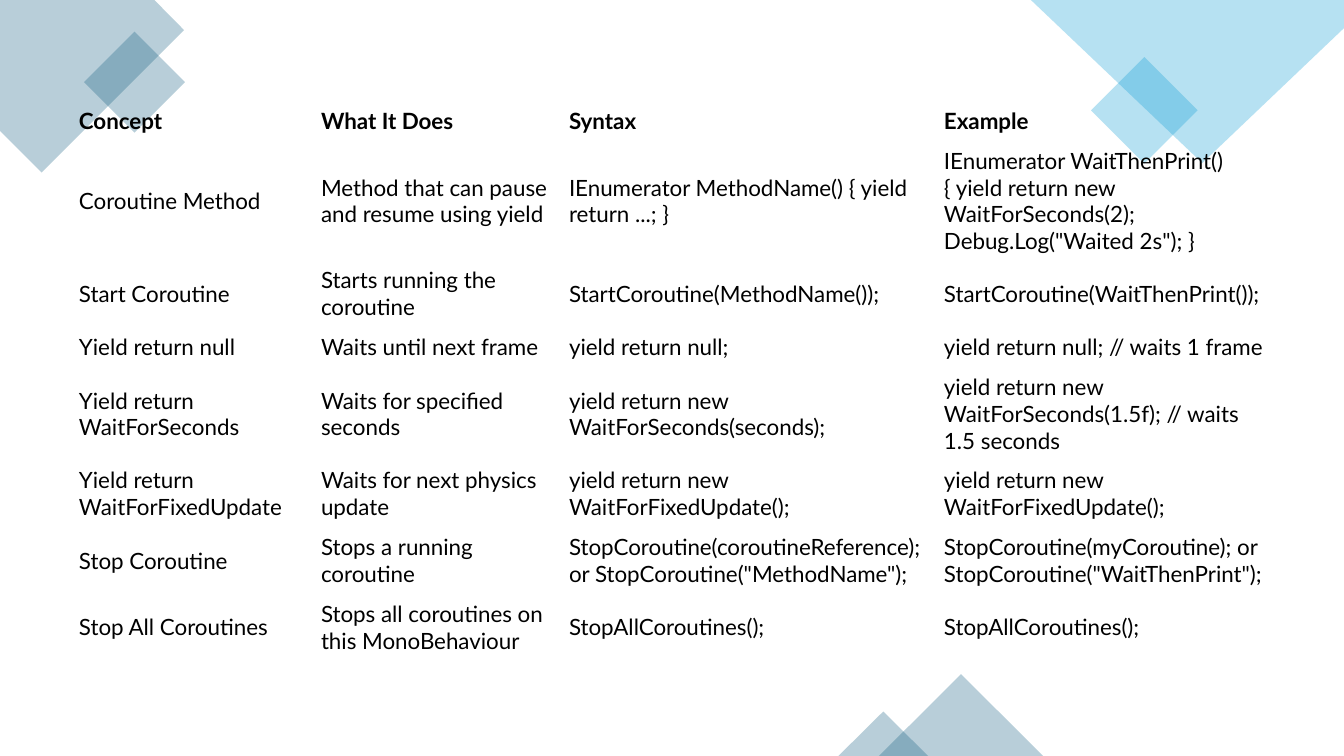
from lxml import etree
from pptx import Presentation
from pptx import util as u
from pptx.dml.color import RGBColor
from pptx.enum import shapes, text
from pptx.oxml import ns

TEAL = RGBColor(0x15, 0x60, 0x82)
SKY = RGBColor(0x0F, 0x9E, 0xD5)
BLACK = RGBColor(0, 0, 0)
NO_GRID_STYLE = "{2D5ABB26-0587-4C30-8999-92F81FD0307C}"

COLUMN_WIDTHS = [6.1, 6.25, 9.45, 8.5]
ROW_HEIGHTS = [1.02, 3, 1.68, 1.02, 2.34, 1.68, 1.68, 1.68]
COROUTINE_ROWS = [
    ("Concept", "What It Does", "Syntax", "Example"),
    ("Coroutine Method", "Method that can pause and resume using yield",
     "IEnumerator MethodName() { yield return ...; }",
     'IEnumerator WaitThenPrint() { yield return new WaitForSeconds(2); Debug.Log("Waited 2s"); }'),
    ("Start Coroutine", "Starts running the coroutine",
     "StartCoroutine(MethodName());", "StartCoroutine(WaitThenPrint());"),
    ("Yield return null", "Waits until next frame",
     "yield return null;", "yield return null; // waits 1 frame"),
    ("Yield return WaitForSeconds", "Waits for specified seconds",
     "yield return new WaitForSeconds(seconds);",
     "yield return new WaitForSeconds(1.5f); // waits 1.5 seconds"),
    ("Yield return WaitForFixedUpdate", "Waits for next physics update",
     "yield return new WaitForFixedUpdate();", "yield return new WaitForFixedUpdate();"),
    ("Stop Coroutine", "Stops a running coroutine",
     'StopCoroutine(coroutineReference); or StopCoroutine("MethodName");',
     'StopCoroutine(myCoroutine); or StopCoroutine("WaitThenPrint");'),
    ("Stop All Coroutines", "Stops all coroutines on this MonoBehaviour",
     "StopAllCoroutines();", "StopAllCoroutines();"),
]


class SlideBuilder:
    """Holds the style and the current slide; lengths are centimetres."""

    font_name = "Lato"
    font_size = u.Pt(16)
    opacity = 30

    def __init__(self, slide):
        self.slide = slide

    def tint(self, shape, color):
        shape.shadow.inherit = False
        shape.line.fill.background()
        shape.fill.solid()
        shape.fill.fore_color.rgb = color
        for srgb in shape.fill._xPr.iter(ns.qn("a:srgbClr")):
            etree.SubElement(srgb, ns.qn("a:alpha"), val=str(self.opacity * 1000))

    def preset(self, kind, left, top, width, height, color, rotation=0):
        box = (u.Cm(v) for v in (left, top, width, height))
        shape = self.slide.shapes.add_shape(kind, *box)
        shape.rotation = rotation
        self.tint(shape, color)

    def square(self, left, top, side, color):
        self.preset(shapes.MSO_SHAPE.RECTANGLE, left, top, side, side, color, 315)

    def triangle(self, left, top, width, height, color):
        self.preset(shapes.MSO_SHAPE.ISOSCELES_TRIANGLE, left, top, width, height, color)

    def polygon(self, points, color):
        start, *rest = [(u.Cm(x), u.Cm(y)) for x, y in points]
        outline = self.slide.shapes.build_freeform(*start)
        outline.add_line_segments(rest, close=True)
        self.tint(outline.convert_to_shape(), color)

    def table(self, left, top, widths, heights, rows):
        frame = self.slide.shapes.add_table(
            len(rows), len(widths), u.Cm(left), u.Cm(top),
            u.Cm(sum(widths)), u.Cm(sum(heights)))
        table = frame.table
        table.horz_banding = False
        table._tbl.tblPr.find(ns.qn("a:tableStyleId")).text = NO_GRID_STYLE
        for column, width in zip(table.columns, widths):
            column.width = u.Cm(width)
        for r, (height, row) in enumerate(zip(heights, rows)):
            table.rows[r].height = u.Cm(height)
            for c, words in enumerate(row):
                self.cell(table.cell(r, c), words, bold=r == 0)

    def cell(self, cell, words, bold):
        cell.fill.background()
        cell.vertical_anchor = text.MSO_ANCHOR.MIDDLE
        cell.margin_left = cell.margin_right = u.Cm(0.21)
        cell.margin_top = cell.margin_bottom = u.Cm(0.11)
        run = cell.text_frame.paragraphs[0].add_run()
        run.text = words
        run.font.name = self.font_name
        run.font.size = self.font_size
        run.font.bold = bold
        run.font.color.rgb = BLACK


def main():
    deck = Presentation()
    deck.slide_width, deck.slide_height = u.Cm(33.87), u.Cm(19.05)
    builder = SlideBuilder(deck.slides.add_slide(deck.slide_layouts[6]))

    # Top left corner
    builder.polygon([(3.89, 0), (0, 0), (0, 3.3), (1.05, 4.35), (4.64, 0.76)], TEAL)
    builder.square(2.49, 1.17, 1.8, TEAL)

    # Top right corner
    builder.square(27.89, 1.83, 1.9, SKY)
    builder.polygon([(33.87, 0), (25.98, 0), (30.3, 4.11), (33.87, 0.71)], SKY)

    # Bottom edge
    builder.triangle(22.15, 16.99, 4.14, 2.06, TEAL)
    builder.triangle(21.13, 17.93, 2.26, 1.12, TEAL)

    # Coroutine reference table
    builder.table(1.78, 2.54, COLUMN_WIDTHS, ROW_HEIGHTS, COROUTINE_ROWS)

    deck.save("out.pptx")


if __name__ == "__main__":
    main()
